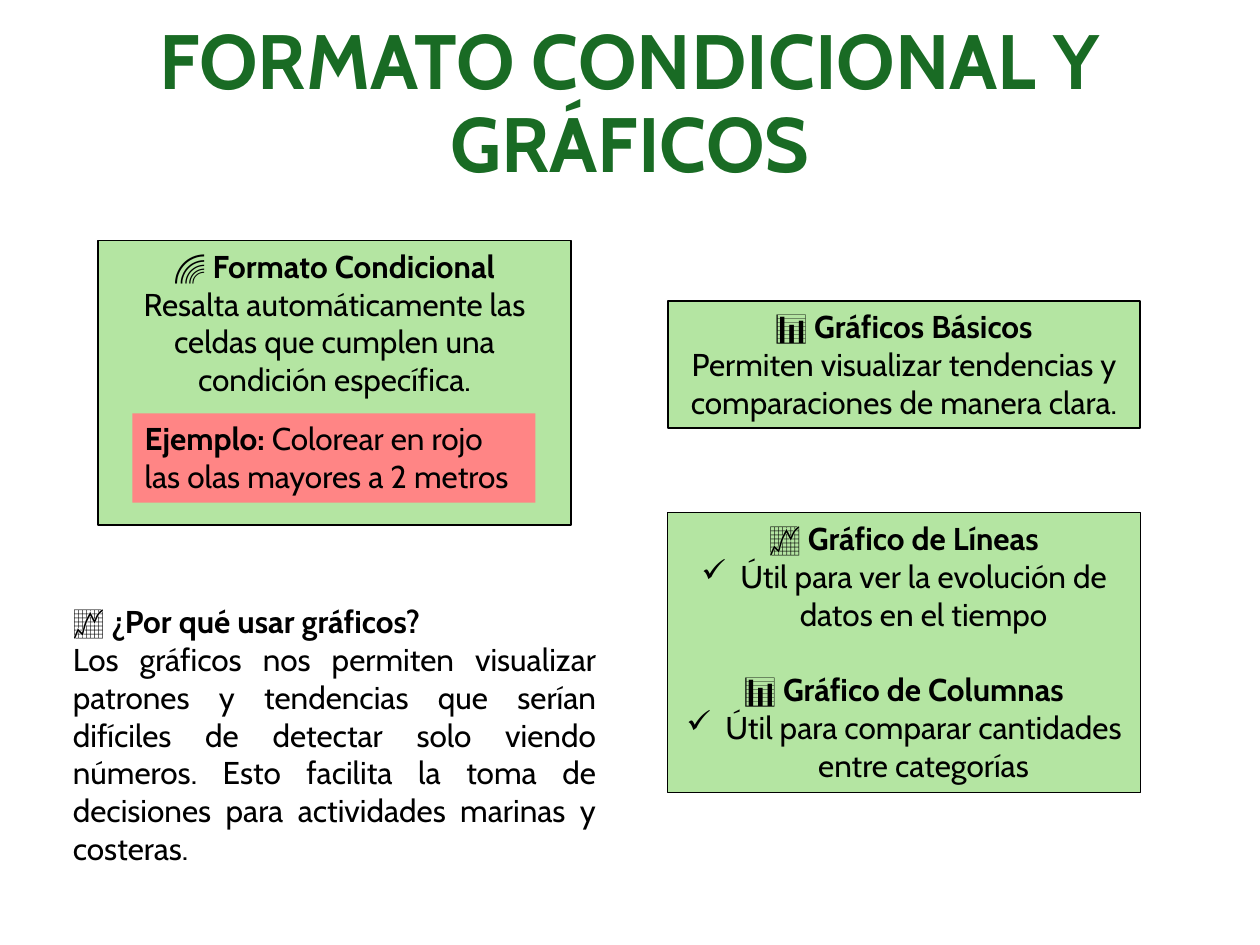
"""Build the slide about conditional formatting and charts."""
from dataclasses import dataclass

from lxml import etree
from pptx import Presentation
from pptx.dml.color import RGBColor
from pptx.enum import shapes, text
from pptx.oxml import ns
from pptx.util import Inches, Pt


@dataclass(frozen=True)
class Theme:
    font: str = "Cabin"
    title_size: float = 44
    body_size: float = 18
    title: str = "196B24"
    ink: str = "000000"
    panel: str = "B4E5A2"
    example: str = "FF8585"


theme = Theme()
align = text.PP_ALIGN


def write(frame, paragraphs, size=theme.body_size, color=theme.ink,
          alignment=align.CENTER, anchor=text.MSO_ANCHOR.TOP, line_spacing=None):
    frame.word_wrap = True
    frame.auto_size = text.MSO_AUTO_SIZE.NONE
    frame.vertical_anchor = anchor
    for index, (runs, options) in enumerate(paragraphs):
        paragraph = frame.paragraphs[0] if index == 0 else frame.add_paragraph()
        if options.get("check"):
            properties = paragraph._p.get_or_add_pPr()
            properties.set("marL", str(Inches(0.31)))
            properties.set("indent", str(Inches(-0.31)))
            etree.SubElement(properties, ns.qn("a:buChar")).set("char", "✓")
        paragraph.alignment = alignment
        if line_spacing:
            paragraph.line_spacing = line_spacing
        if "before" in options:
            paragraph.space_before = Pt(options["before"])
        for words, bold in runs:
            run = paragraph.add_run()
            run.text = words
            run.font.name = theme.font
            run.font.size = Pt(size)
            run.font.bold = bold
            run.font.color.rgb = RGBColor.from_string(color)


deck = Presentation()
deck.slide_width, deck.slide_height = Inches(10), Inches(7.5)
slide = deck.slides.add_slide(deck.slide_layouts[5])

title = slide.shapes.title
title.left, title.top = Inches(0.69), Inches(0.12)
title.width, title.height = Inches(8.62), Inches(1.45)
write(title.text_frame, [([("FORMATO CONDICIONAL Y GRÁFICOS", True)], {})],
      size=theme.title_size, color=theme.title,
      anchor=text.MSO_ANCHOR.MIDDLE, line_spacing=0.9)

conditional_format = [
    ([("🌈 Formato Condicional", True)], {}),
    ([("Resalta automáticamente las celdas que cumplen una condición específica.", False)], {}),
]
wave_example = [
    ([("Ejemplo:", True), (" Colorear en rojo las olas mayores a 2 metros", False)], {}),
]
basic_charts = [
    ([("📊", False), (" Gráficos Básicos", True)], {}),
    ([("Permiten visualizar tendencias y comparaciones de manera clara.", False)], {}),
]
chart_types = [
    ([("📈 Gráfico de Líneas", True)], {}),
    ([("Útil para ver la evolución de datos en el tiempo", False)], {"check": True}),
    ([("📊 Gráfico de Columnas", True)], {"before": 21.7}),
    ([("Útil para comparar cantidades entre categorías", False)], {"check": True}),
]
panels = [
    (0.78, 1.91, 3.75, 2.26, theme.panel, 1, align.CENTER, conditional_format),
    (1.05, 3.28, 3.2, 0.71, theme.example, None, align.LEFT, wave_example),
    (5.3, 2.39, 3.75, 1.01, theme.panel, 1, align.CENTER, basic_charts),
    (5.3, 4.07, 3.75, 2.22, theme.panel, 0.75, align.CENTER, chart_types),
]
for left, top, width, height, fill, border, alignment, paragraphs in panels:
    panel = slide.shapes.add_shape(shapes.MSO_SHAPE.RECTANGLE, Inches(left), Inches(top),
                                   Inches(width), Inches(height))
    panel.shadow.inherit = False
    panel.fill.solid()
    panel.fill.fore_color.rgb = RGBColor.from_string(fill)
    if border:
        panel.line.color.rgb = RGBColor.from_string(theme.ink)
        panel.line.width = Pt(border)
    else:
        panel.line.fill.background()
    write(panel.text_frame, paragraphs, alignment=alignment)

why_charts = slide.shapes.add_textbox(Inches(0.48), Inches(4.73), Inches(4.35), Inches(2.22))
write(why_charts.text_frame, [
    ([("📈 ¿Por qué usar gráficos?", True)], {}),
    ([("Los gráficos nos permiten visualizar patrones y tendencias que serían difíciles de "
       "detectar solo viendo números. Esto facilita la toma de decisiones para actividades "
       "marinas y costeras.", False)], {}),
], alignment=align.JUSTIFY)

deck.save("out.pptx")
